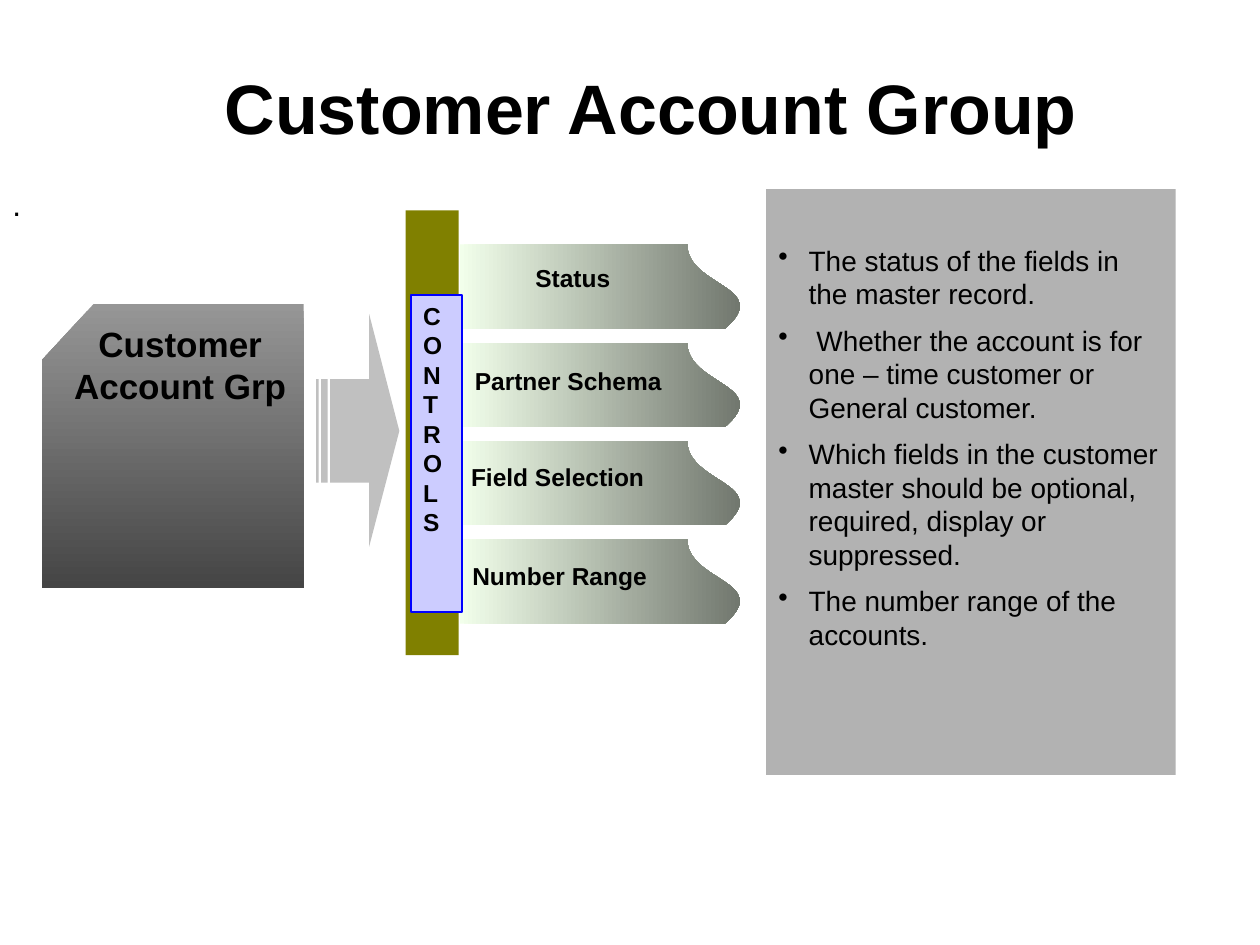
from lxml import etree
from pptx import Presentation
from pptx import util as u
from pptx.dml.color import RGBColor
from pptx.enum import shapes, text
from pptx.oxml.ns import qn

# The slide is a grid of 100 columns by 75 rows of square cells.
COLUMNS, ROWS = 100, 75
CELL = u.Inches(0.1)
KIND = shapes.MSO_SHAPE
CENTER = text.PP_ALIGN.CENTER

ROW_PITCH = 7.8
CONTROLS = [  # label, left, top, width
    ("Status", 41.5, 20.4, 9.7),
    ("Partner Schema", 36.7, 28.6, 21),
    ("Field Selection", 36.4, 36.2, 19.7),
    ("Number Range", 36.5, 44, 19.8),
]
EXPLANATIONS = [
    "The status of the fields in the master record.",
    " Whether the account is for one – time customer or General customer.",
    "Which fields in the customer master should be optional, required, display or suppressed.",
    "The number range of the accounts.",
]
ARROW_PARTS = [
    [(29.3, 24.9), (29.3, 30.1), (26.2, 30.1), (26.2, 38.3),
     (29.3, 38.3), (29.3, 43.4), (31.7, 34.2)],
    [(25.5, 30.1), (25.5, 38.3), (26, 38.3), (26, 30.1)],
    [(25.1, 30.1), (25.1, 38.3), (25.3, 38.3), (25.3, 30.1)],
]


def color(value):
    return RGBColor.from_string(value)


def cells(*lengths):
    return [round(length * CELL) for length in lengths]


def set_all(target, values):
    for name, value in values.items():
        setattr(target, name, value)


def paint(shape, fill, line=None):
    """Fill with one colour, or with a top-to-bottom gradient for a pair."""
    shape.shadow.inherit = False
    if isinstance(fill, tuple):
        shape.fill.gradient()
        shape.fill.gradient_angle = 270
        for stop, value in zip(shape.fill.gradient_stops, fill):
            stop.color.rgb = color(value)
    else:
        shape.fill.solid()
        shape.fill.fore_color.rgb = color(fill)
    if line:
        shape.line.color.rgb = color(line)
        shape.line.width = u.Pt(1)
    else:
        shape.line.fill.background()


def add_block(slide, kind, box, fill, line=None, rotation=0):
    shape = slide.shapes.add_shape(kind, *cells(*box))
    shape.rotation = rotation
    paint(shape, fill, line)
    return shape


def add_bullet(paragraph, indent):
    properties = paragraph._p.get_or_add_pPr()
    properties.set("marL", str(indent))
    properties.set("indent", str(-indent))
    etree.SubElement(properties, qn("a:buChar")).set("char", "•")


def write(shape, lines, size, bold=True, align=text.PP_ALIGN.LEFT,
          bullet_indent=None, gap=0, **frame_format):
    frame = shape.text_frame
    set_all(frame, {"word_wrap": True,
                    "vertical_anchor": text.MSO_ANCHOR.TOP, **frame_format})
    for index, line in enumerate(lines):
        paragraph = frame.add_paragraph() if index else frame.paragraphs[0]
        paragraph.text = line
        if bullet_indent:
            add_bullet(paragraph, bullet_indent)
        paragraph.alignment = align
        if index and gap:
            paragraph.space_before = u.Pt(gap)
        set_all(paragraph.font,
                {"name": "Arial", "size": u.Pt(size), "bold": bold})
        paragraph.font.color.rgb = color("000000")


def add_label(slide, box, lines, size, **options):
    write(slide.shapes.add_textbox(*cells(*box)), lines, size, **options)


def add_striped_arrow(slide):
    builder = None
    for start, *corners in ARROW_PARTS:
        if builder is None:
            builder = slide.shapes.build_freeform(*cells(*start), scale=1.0)
        else:
            builder.move_to(*cells(*start))
        builder.add_line_segments([cells(*corner) for corner in corners])
    paint(builder.convert_to_shape(), "C0C0C0")


def add_control_rows(slide):
    for row, (label, left, top, width) in enumerate(CONTROLS):
        add_block(slide, KIND.FLOWCHART_DOCUMENT,
                  (44.4, 11.5 + row * ROW_PITCH, 6.7, 22.5),
                  ("F2FFEB", "70766D"), rotation=270)
        add_label(slide, (left, top, width, 4), [label], 14)


def main():
    presentation = Presentation()
    set_all(presentation, {"slide_width": COLUMNS * CELL,
                           "slide_height": ROWS * CELL})
    slide = presentation.slides.add_slide(presentation.slide_layouts[6])

    add_label(slide, (3.9, 4.8, 95.5, 7.3), ["Customer Account Group"], 40,
              align=CENTER, vertical_anchor=text.MSO_ANCHOR.MIDDLE,
              margin_left=0, margin_right=0, margin_top=0, margin_bottom=0)
    add_label(slide, (0, 14.2, 96.7, 4), ["."], 18, bold=False)

    add_block(slide, KIND.FLOWCHART_CARD, (3.3, 24.1, 20.8, 22.6),
              ("969696", "454545"))
    add_label(slide, (4.9, 25.1, 18.8, 7.7), ["Customer", "Account Grp"], 20,
              align=CENTER, margin_left=0, margin_right=0)
    add_striped_arrow(slide)

    add_block(slide, KIND.RECTANGLE, (32.2, 16.7, 4.2, 35.3), "808000")
    add_control_rows(slide)
    banner = add_block(slide, KIND.RECTANGLE, (32.6, 23.4, 4.1, 25.2),
                       "CCCCFF", line="0000FF")
    write(banner, "CONTROLS", 14)

    panel = add_block(slide, KIND.RECTANGLE, (60.8, 15, 32.5, 46.5), "B2B2B2")
    write(panel, EXPLANATIONS, 16, bold=False, gap=7.3,
          bullet_indent=u.Inches(0.24), margin_top=u.Inches(0.43))

    presentation.save("out.pptx")


if __name__ == "__main__":
    main()
